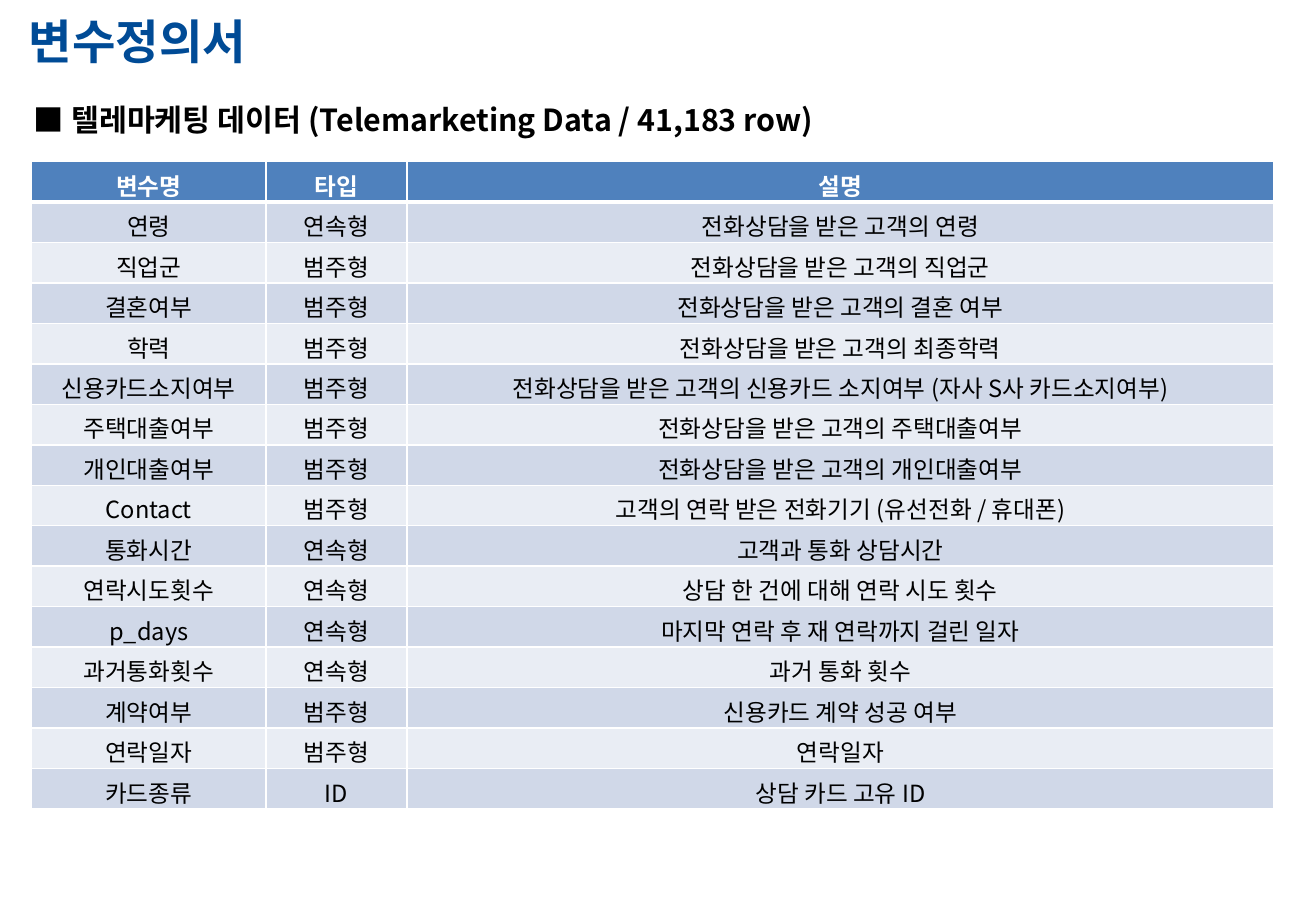
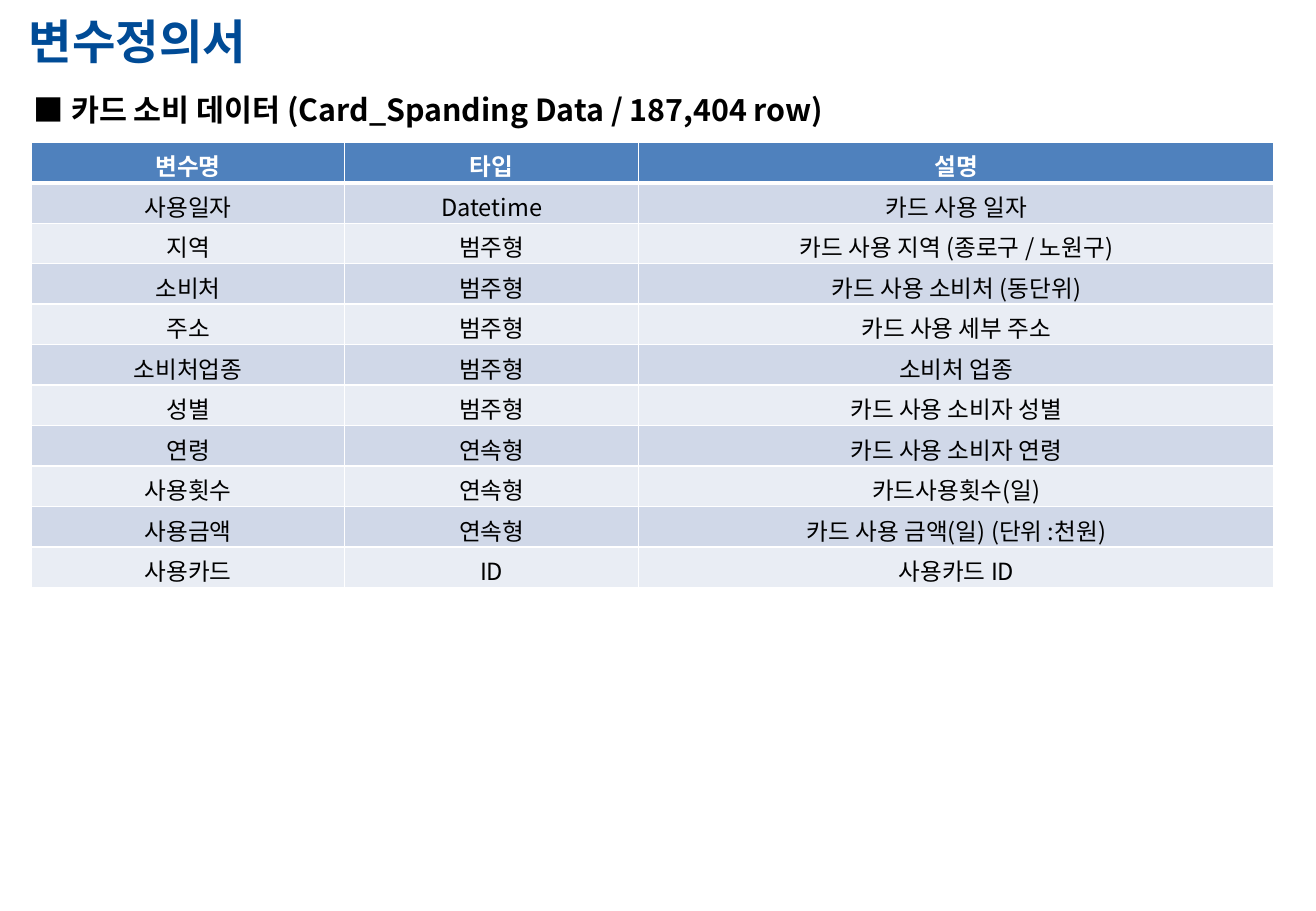
from lxml import etree
from pptx import Presentation
from pptx.dml.color import RGBColor
from pptx.enum import text as t
from pptx.oxml import ns
from pptx.util import Pt

FONT = "Noto Sans CJK KR"
NAVY = RGBColor(0x00, 0x4B, 0x96)
BLACK = RGBColor(0x00, 0x00, 0x00)
WHITE = RGBColor(0xFF, 0xFF, 0xFF)
HEADER_BLUE = RGBColor(0x4F, 0x81, 0xBD)
BANDS = RGBColor(0xD0, 0xD8, 0xE8), RGBColor(0xE9, 0xED, 0xF4)

TABLE_LEFT = 18.72
ROW_HEIGHT = 24
HEADER = ("변수명", "타입", "설명")

TELEMARKETING = [
    ("연령", "연속형", "전화상담을 받은 고객의 연령"),
    ("직업군", "범주형", "전화상담을 받은 고객의 직업군"),
    ("결혼여부", "범주형", "전화상담을 받은 고객의 결혼 여부"),
    ("학력", "범주형", "전화상담을 받은 고객의 최종학력"),
    ("신용카드소지여부", "범주형", "전화상담을 받은 고객의 신용카드 소지여부 (자사 S사 카드소지여부)"),
    ("주택대출여부", "범주형", "전화상담을 받은 고객의 주택대출여부"),
    ("개인대출여부", "범주형", "전화상담을 받은 고객의 개인대출여부"),
    ("Contact", "범주형", "고객의 연락 받은 전화기기 (유선전화 / 휴대폰)"),
    ("통화시간", "연속형", "고객과 통화 상담시간"),
    ("연락시도횟수", "연속형", "상담 한 건에 대해 연락 시도 횟수"),
    ("p_days", "연속형", "마지막 연락 후 재 연락까지 걸린 일자"),
    ("과거통화횟수", "연속형", "과거 통화 횟수"),
    ("계약여부", "범주형", "신용카드 계약 성공 여부"),
    ("연락일자", "범주형", "연락일자"),
    ("카드종류", "ID", "상담 카드 고유 ID"),
]
CARD_SPENDING = [
    ("사용일자", "Datetime", "카드 사용 일자"),
    ("지역", "범주형", "카드 사용 지역 (종로구 / 노원구)"),
    ("소비처", "범주형", "카드 사용 소비처 (동단위)"),
    ("주소", "범주형", "카드 사용 세부 주소"),
    ("소비처업종", "범주형", "소비처 업종"),
    ("성별", "범주형", "카드 사용 소비자 성별"),
    ("연령", "연속형", "카드 사용 소비자 연령"),
    ("사용횟수", "연속형", "카드사용횟수(일)"),
    ("사용금액", "연속형", "카드 사용 금액(일) (단위 :천원)"),
    ("사용카드", "ID", "사용카드 ID"),
]


def write(frame, words, *, size, color=BLACK, bold=False, align=t.PP_ALIGN.LEFT):
    paragraph = frame.paragraphs[0]
    paragraph.alignment = align
    run = paragraph.add_run()
    run.text = words
    font = run.font
    font.name, font.size, font.bold = FONT, Pt(size), bold
    font.color.rgb = color
    east_asian = etree.SubElement(font._element, ns.qn("a:ea"))
    east_asian.set("typeface", FONT)


def add_heading(slide, words, left, top, width, height, **look):
    frame = slide.shapes.add_textbox(Pt(left), Pt(top), Pt(width), Pt(height)).text_frame
    frame.word_wrap = True
    frame.margin_top = frame.margin_bottom = 0
    frame.vertical_anchor = t.MSO_ANCHOR.MIDDLE
    write(frame, words, bold=True, **look)


def add_borders(cell, top, bottom):
    properties = cell._tc.get_or_add_tcPr()
    for side, weight in (("L", 1), ("R", 1), ("T", top), ("B", bottom)):
        line = etree.SubElement(properties, ns.qn(f"a:ln{side}"), w=str(Pt(weight)))
        fill = etree.SubElement(line, ns.qn("a:solidFill"))
        etree.SubElement(fill, ns.qn("a:srgbClr"), val=str(WHITE))


def add_variable_table(slide, variables, top, widths):
    rows = [HEADER, *variables]
    table = slide.shapes.add_table(
        len(rows), len(HEADER), Pt(TABLE_LEFT), Pt(top),
        Pt(sum(widths)), Pt(ROW_HEIGHT * len(rows))).table
    for column, width in zip(table.columns, widths):
        column.width = Pt(width)
    for index, entries in enumerate(rows):
        table.rows[index].height = Pt(ROW_HEIGHT)
        is_header = index == 0
        for column, words in enumerate(entries):
            cell = table.cell(index, column)
            cell.margin_left = cell.margin_right = Pt(6)
            cell.margin_top, cell.margin_bottom = Pt(3.6), 0
            add_borders(cell, top=3 if index == 1 else 1, bottom=3 if is_header else 1)
            cell.fill.solid()
            cell.fill.fore_color.rgb = HEADER_BLUE if is_header else BANDS[(index - 1) % 2]
            write(cell.text_frame, words, size=14, bold=is_header,
                  color=WHITE if is_header else BLACK, align=t.PP_ALIGN.CENTER)


def add_definition_slide(deck, dataset, dataset_top, variables, table_top, widths):
    slide = deck.slides.add_slide(deck.slide_layouts[6])
    add_heading(slide, "변수정의서", 10, 3.6, 522, 41, size=28, color=NAVY)
    add_heading(slide, dataset, 13, dataset_top, 551.5, 28.8, size=18)
    add_variable_table(slide, variables, table_top, widths)


def main():
    deck = Presentation()
    deck.slide_width, deck.slide_height = Pt(780), Pt(540)
    add_definition_slide(deck, "■ 텔레마케팅 데이터 (Telemarketing Data / 41,183 row)", 56.2,
                         TELEMARKETING, 95.8, (139, 83.5, 514))
    add_definition_slide(deck, "■ 카드 소비 데이터 (Card_Spanding Data / 187,404 row)", 50.4,
                         CARD_SPENDING, 84.4, (185.6, 174.3, 376.6))
    deck.save("out.pptx")


if __name__ == "__main__":
    main()
